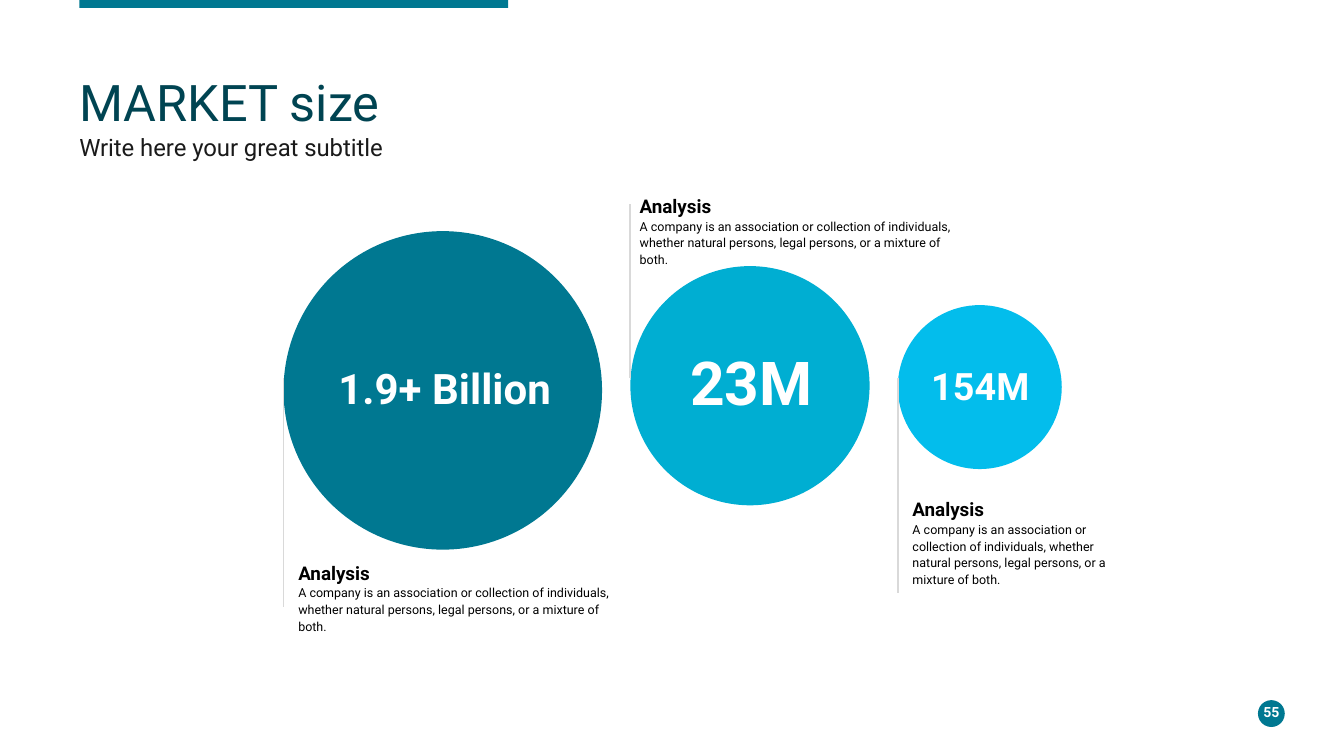
from dataclasses import dataclass

from lxml import etree
from pptx import Presentation
from pptx.dml.color import RGBColor
from pptx.enum import shapes, text
from pptx.oxml import ns
from pptx.util import Inches, Pt

FONT = "Roboto"
COLORS = {
    "teal": "007891",
    "cyan": "00AED2",
    "sky": "03BDEC",
    "title": "004452",
    "subtitle": "1A1A1A",
    "black": "000000",
    "white": "FFFFFF",
    "rule": "D9D9D9",
}
ANALYSIS = (
    "A company is an association or collection of individuals, "
    "whether natural persons, legal persons, or a mixture of both."
)
RULE_START = 2.81


@dataclass(frozen=True)
class Box:
    left: float
    top: float
    width: float
    height: float

    def lengths(self) -> list:
        return [Inches(n) for n in (self.left, self.top, self.width, self.height)]


@dataclass(frozen=True)
class Line:
    words: str
    size: float
    color: str
    bold: bool = False
    spacing: float = 1.0
    align: text.PP_ALIGN = text.PP_ALIGN.LEFT


@dataclass(frozen=True)
class Market:
    value: str
    value_size: float
    value_box: Box
    circle: Box
    color: str
    analysis_box: Box
    rule_end: float


MARKETS = [
    Market("1.9+ Billion", 22.5, Box(2.11, 2.66, 2.4, 0.45),
           Box(2.11, 1.72, 2.37, 2.37), "teal", Box(2.16, 4.13, 2.54, 0.49), 4.52),
    Market("23M", 32.4, Box(4.69, 2.53, 1.8, 0.62),
           Box(4.69, 1.98, 1.78, 1.78), "cyan", Box(4.7, 1.4, 2.54, 0.49), 1.52),
    Market("154M", 20.25, Box(6.68, 2.66, 1.23, 0.42),
           Box(6.68, 2.27, 1.22, 1.22), "sky", Box(6.73, 3.66, 1.57, 0.74), 4.41),
]


def rgb(name: str) -> RGBColor:
    return RGBColor.from_string(COLORS[name])


def add_filled(slide, kind: shapes.MSO_SHAPE, box: Box, color: str) -> None:
    shape = slide.shapes.add_shape(kind, *box.lengths())
    shape.shadow.inherit = False
    shape.fill.solid()
    shape.fill.fore_color.rgb = rgb(color)
    shape.line.fill.background()


def add_text(slide, box: Box, lines: list[Line], inset_x: float = 0, inset_y: float = 0,
             anchor: text.MSO_ANCHOR = text.MSO_ANCHOR.TOP) -> None:
    frame = slide.shapes.add_textbox(*box.lengths()).text_frame
    frame.word_wrap = True
    frame.vertical_anchor = anchor
    frame.margin_left = frame.margin_right = Inches(inset_x)
    frame.margin_top = frame.margin_bottom = Inches(inset_y)
    for index, line in enumerate(lines):
        paragraph = frame.add_paragraph() if index else frame.paragraphs[0]
        paragraph.text = line.words
        paragraph.alignment = line.align
        paragraph.line_spacing = line.spacing
        paragraph.font.name = FONT
        paragraph.font.size = Pt(line.size)
        paragraph.font.bold = line.bold
        paragraph.font.color.rgb = rgb(line.color)


def add_rule(slide, x: float, start: float, end: float) -> None:
    rule = slide.shapes.add_connector(
        shapes.MSO_CONNECTOR.STRAIGHT, Inches(x), Inches(start), Inches(x), Inches(end))
    rule.line.color.rgb = rgb("rule")
    rule.line.width = Pt(1)
    etree.SubElement(rule._element.spPr, ns.qn("a:effectLst"))


def add_market(slide, market: Market) -> None:
    add_filled(slide, shapes.MSO_SHAPE.OVAL, market.circle, market.color)
    add_text(slide, market.value_box,
             [Line(market.value, market.value_size, "white", True,
                   align=text.PP_ALIGN.CENTER)], 0.08, 0.04)
    add_text(slide, market.analysis_box,
             [Line("Analysis", 10.12, "black", True, 1.1),
              Line(ANALYSIS, 6.75, "black", spacing=1.1)], 0.06, 0.03)
    add_rule(slide, market.circle.left, RULE_START, market.rule_end)


def main() -> None:
    deck = Presentation()
    deck.slide_width = Inches(10)
    deck.slide_height = deck.slide_width * 9 // 16
    slide = deck.slides.add_slide(deck.slide_layouts[6])

    add_filled(slide, shapes.MSO_SHAPE.RECTANGLE, Box(0.59, 0, 3.19, 0.06), "teal")
    add_filled(slide, shapes.MSO_SHAPE.OVAL, Box(9.36, 5.21, 0.2, 0.2), "teal")
    for market in MARKETS:
        add_market(slide, market)
    add_text(slide, Box(9.31, 5.22, 0.3, 0.16),
             [Line("55", 7.5, "white", True, align=text.PP_ALIGN.CENTER)],
             anchor=text.MSO_ANCHOR.MIDDLE)
    add_text(slide, Box(0.59, 1.01, 3.22, 0.16),
             [Line("Write here your great subtitle", 12.75, "subtitle", spacing=0.9)])
    add_text(slide, Box(0.59, 0.58, 8.72, 0.43),
             [Line("MARKET size", 27, "title", spacing=0.9)])
    deck.save("out.pptx")


if __name__ == "__main__":
    main()
